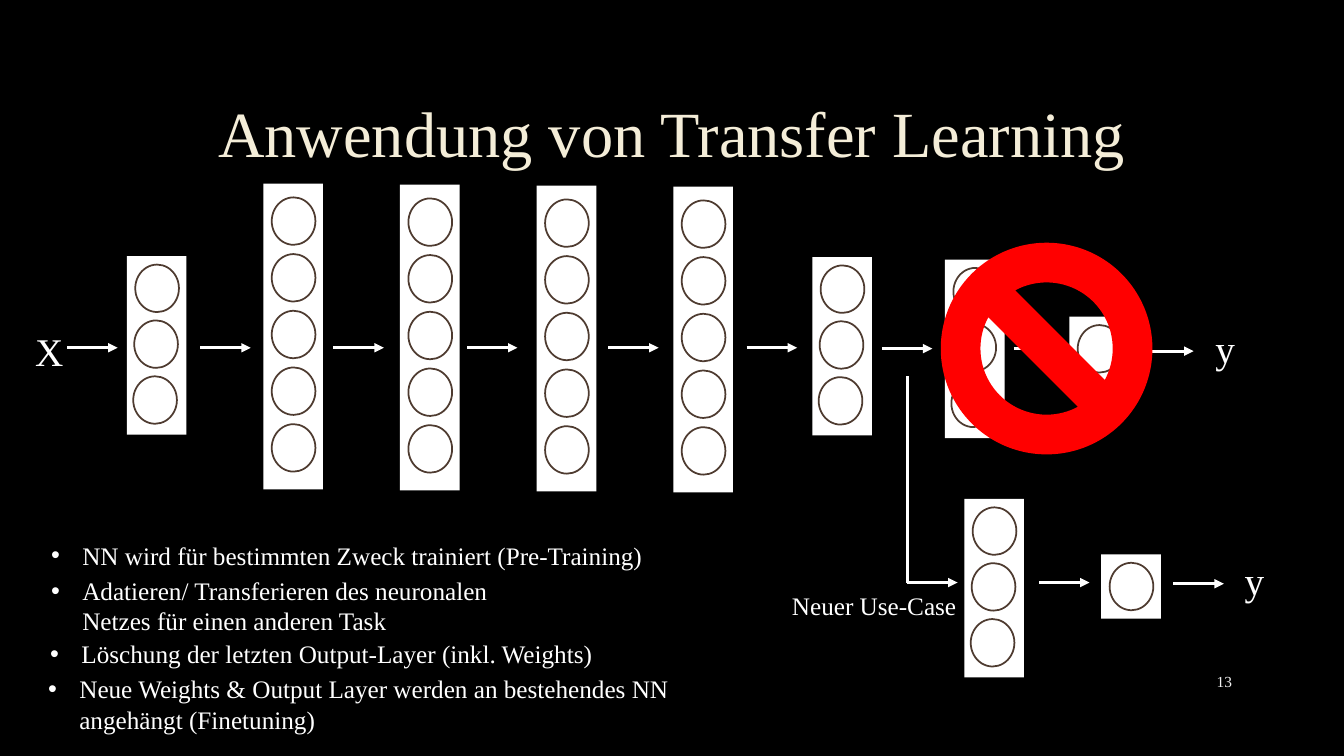
from lxml import etree
from pptx import Presentation
from pptx.dml.color import RGBColor
from pptx.enum.shapes import MSO_CONNECTOR, MSO_SHAPE
from pptx.enum.text import MSO_ANCHOR, MSO_AUTO_SIZE, PP_ALIGN
from pptx.oxml.ns import qn
from pptx.util import Inches, Pt

RECT, OVAL, STOP = MSO_SHAPE.RECTANGLE, MSO_SHAPE.OVAL, MSO_SHAPE.NO_SYMBOL
STRAIGHT = MSO_CONNECTOR.STRAIGHT
LEFT, CENTER, RIGHT = PP_ALIGN.LEFT, PP_ALIGN.CENTER, PP_ALIGN.RIGHT
TOP, MIDDLE = MSO_ANCHOR.TOP, MSO_ANCHOR.MIDDLE
GROW, FIXED = MSO_AUTO_SIZE.SHAPE_TO_FIT_TEXT, MSO_AUTO_SIZE.NONE

COLS, ROWS = 160, 90
LAYER_W, NEURON_W, NEURON_H = 7.1, 5.2, 5.65
ARROW = 6
LAYER_FORMS = {
    5: {"height": 36.4, "inset": 1.65, "pitch": 6.75, "drift": 0},
    3: {"height": 21.25, "inset": 1, "pitch": 6.65, "drift": -0.12},
    1: {"height": 7.65, "inset": 1, "pitch": 0, "drift": 0},
}


def rgb(value):
    return RGBColor.from_string(value)


class Diagram:
    font = "Times New Roman"
    white, black, brown, red = "FFFFFF", "000000", "4E3B30", "FF0000"
    cream, gray, outline = "F4EDD8", "F2F2F2", "404040"

    def __init__(self, prs):
        self.col = prs.slide_width / COLS
        self.row = prs.slide_height / ROWS
        self.s = prs.slides.add_slide(prs.slide_layouts[6])
        fill = self.s.background.fill
        fill.solid()
        fill.fore_color.rgb = rgb(self.black)

    def grid(self, x, y):
        return round(x * self.col), round(y * self.row)

    def shape(self, kind, x, y, w, h, fill, line=None):
        sp = self.s.shapes.add_shape(kind, *self.grid(x, y), *self.grid(w, h))
        sp.shadow.inherit = False
        sp.fill.solid()
        sp.fill.fore_color.rgb = rgb(fill)
        if line:
            sp.line.color.rgb = rgb(line)
            sp.line.width = Pt(1.25)
        else:
            sp.line.fill.background()
        return sp

    def layer(self, x, y, neurons):
        form = LAYER_FORMS[neurons]
        self.shape(RECT, x, y, LAYER_W, form["height"], self.white)
        for i in range(neurons):
            self.shape(OVAL, x + 1 + i * form["drift"], y + form["inset"] + i * form["pitch"],
                       NEURON_W, NEURON_H, self.white, self.brown)

    def line(self, x1, y1, x2, y2, head=True):
        c = self.s.shapes.add_connector(STRAIGHT, *self.grid(x1, y1), *self.grid(x2, y2))
        c.line.color.rgb = rgb(self.white)
        c.line.width = Pt(2.25)
        if head:
            etree.SubElement(c.line._get_or_add_ln(), qn("a:tailEnd"), type="triangle")
        etree.SubElement(c._element.spPr, qn("a:effectLst"))

    def arrow(self, x, y):
        self.line(x, y, x + ARROW, y)

    def text(self, words, x, y, w, h, size=18, color=white, align=LEFT,
             anchor=TOP, auto=GROW, bullet=False):
        sp = self.s.shapes.add_textbox(*self.grid(x, y), *self.grid(w, h))
        tf = sp.text_frame
        for name, value in {"word_wrap": True, "auto_size": auto,
                            "vertical_anchor": anchor}.items():
            setattr(tf, name, value)
        p = tf.paragraphs[0]
        p.alignment = align
        if bullet:
            pPr = p._p.get_or_add_pPr()
            pPr.set("marL", str(Inches(0.31)))
            pPr.set("indent", str(-Inches(0.31)))
            etree.SubElement(pPr, qn("a:buFont"), typeface="Arial")
            etree.SubElement(pPr, qn("a:buChar"), char="•")
        r = p.add_run()
        r.text = words
        for name, value in {"name": self.font, "size": Pt(size)}.items():
            setattr(r.font, name, value)
        r.font.color.rgb = rgb(color)
        return p

    def title(self, words, x, y, w, h):
        p = self.text(words, x, y, w, h, 46, self.cream, CENTER, MIDDLE, FIXED)
        p.line_spacing = 0.9
        ln = etree.Element(qn("a:ln"), w=str(Pt(0.75)))
        fill = etree.SubElement(ln, qn("a:solidFill"))
        tone = etree.SubElement(fill, qn("a:srgbClr"), val=self.outline)
        etree.SubElement(tone, qn("a:alpha"), val="10000")
        p.runs[0]._r.get_or_add_rPr().insert(0, ln)


def main():
    prs = Presentation()
    prs.slide_width, prs.slide_height = Inches(13.333), Inches(7.5)
    d = Diagram(prs)
    d.title("Anwendung von Transfer Learning", 12, 8, 135.85, 16.55)

    for i in range(4):
        d.layer(31.35 + 16.27 * i, 21.85 + 0.12 * i, 5)
    for x, y, neurons in [(15.1, 30.5, 3), (96.7, 30.6, 3), (112.5, 30.9, 3),
                          (114.8, 59.4, 3), (127.3, 37.7, 1), (131.1, 66, 1)]:
        d.layer(x, y, neurons)

    for x in (8, 23.85, 39.7, 55.6, 72.4, 88.9):
        d.arrow(x, 41.4)
    for x, y in [(105, 41.5), (120.7, 41.5), (136.1, 41.8),
                 (108, 69.35), (123.7, 69.35), (139.7, 69.5)]:
        d.arrow(x, y)
    d.line(108, 44.8, 108, 69.35, head=False)
    d.shape(STOP, 112, 28.9, 25.2, 25.2, d.red)

    for name, x, y in [("X", 3, 38.4), ("y", 143.5, 38.05), ("y", 147, 65.65)]:
        d.text(name, x, y, LAYER_W, 6.85, 28)
    d.text("Neuer Use-Case", 93.1, 69.7, 22.8, 4.8)

    for words, x, y, w, h in [
        ("NN wird für bestimmten Zweck trainiert (Pre-Training)", 4.9, 63.7, 76.3, 4.8),
        ("Adatieren/ Transferieren des neuronalen Netzes für einen anderen Task",
         4.9, 67.9, 62, 8.5),
        ("Löschung der letzten Output-Layer (inkl. Weights)", 4.8, 75.45, 76.3, 4.8),
        ("Neue Weights & Output Layer werden an bestehendes NN angehängt (Finetuning)",
         4.55, 79.6, 76.3, 8.5),
    ]:
        d.text(words, x, y, w, h, bullet=True)
    d.text("13", 138, 78.7, 9.85, 4.8, 11, d.gray, RIGHT, MIDDLE, FIXED)
    prs.save("out.pptx")


if __name__ == "__main__":
    main()
